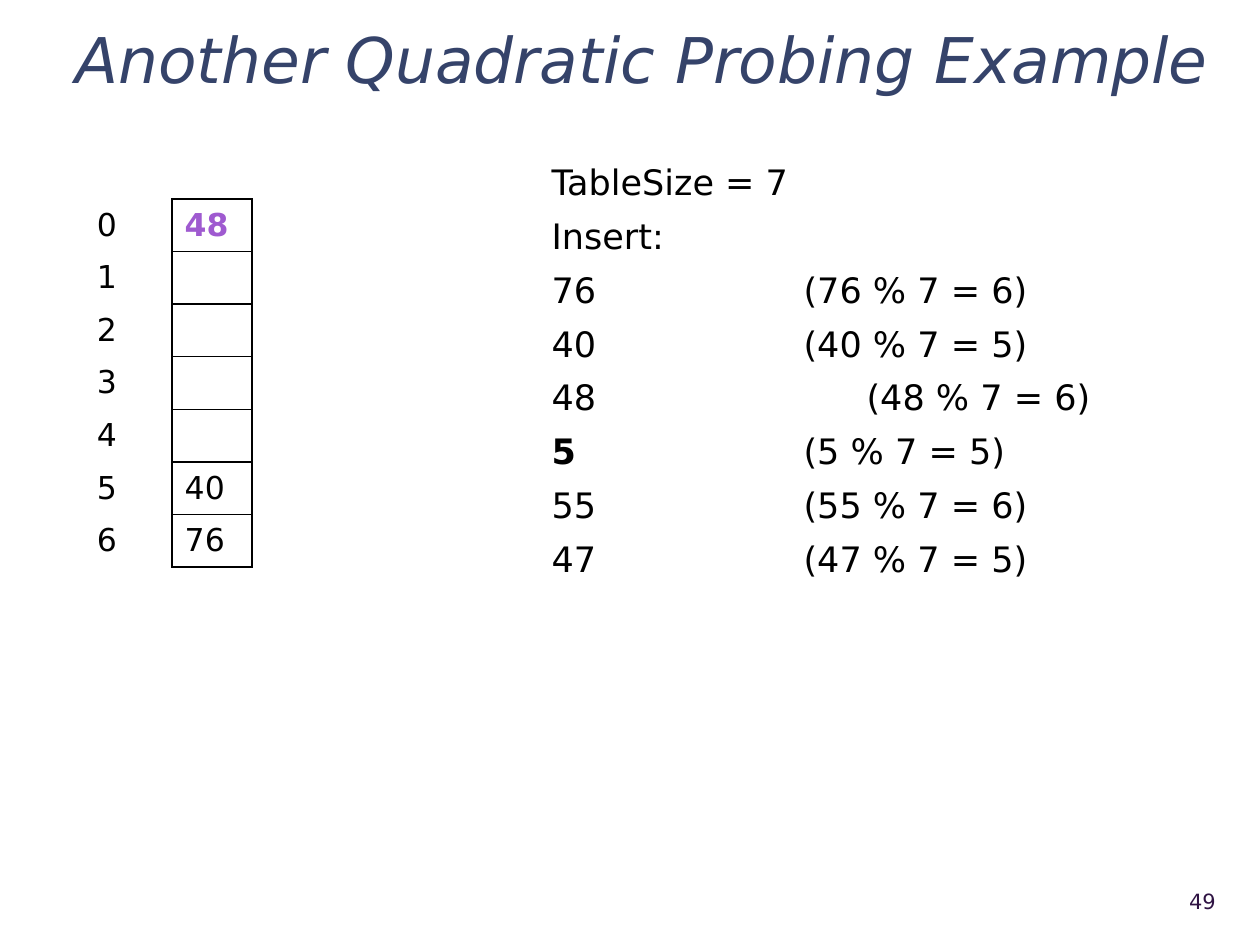
from lxml.etree import SubElement
from pptx import Presentation
from pptx.dml.color import RGBColor
from pptx.enum.text import MSO_ANCHOR, PP_ALIGN
from pptx.oxml.ns import qn
from pptx.util import Cm, Pt

FONT = "DejaVu Sans"
BLACK = "000000"
PURPLE = "9F5AD0"
TABLE_SIZE = 7
STORED = {0: "48", 5: "40", 6: "76"}
JUST_INSERTED = "48"
KEYS = [76, 40, 48, 5, 55, 47]
CURRENT_KEY = 5
HASH_TAB = 5.08
WIDE_TABS = {48: 6.35}


def color(hex_string):
    return RGBColor.from_string(hex_string)


def format_runs(paragraph, size, hex_string=BLACK, bold=False, italic=False):
    for run in paragraph.runs:
        font = run.font
        font.name = FONT
        font.size = Pt(size)
        font.color.rgb = color(hex_string)
        font.bold = bold
        font.italic = italic


def add_text_box(slide, left, top, width, height, anchor=MSO_ANCHOR.TOP):
    shape = slide.shapes.add_textbox(Cm(left), Cm(top), Cm(width), Cm(height))
    text_frame = shape.text_frame
    text_frame.word_wrap = True
    text_frame.vertical_anchor = anchor
    return text_frame


def add_title(slide, text):
    text_frame = add_text_box(slide, 1.27, 0.43, 23.5, 1.35, MSO_ANCHOR.MIDDLE)
    text_frame.text = text
    paragraph = text_frame.paragraphs[0]
    paragraph.line_spacing = 1.1
    format_runs(paragraph, 36, "35436A", italic=True)


def add_slide_number(slide, text):
    text_frame = add_text_box(slide, 22.58, 17.65, 2.18, 1.02, MSO_ANCHOR.MIDDLE)
    text_frame.text = text
    paragraph = text_frame.paragraphs[0]
    paragraph.alignment = PP_ALIGN.RIGHT
    format_runs(paragraph, 12, "2F1343")


def set_borders(cell, sides):
    """Draw black lines on the given sides, listed in the order L, R, T, B."""
    properties = cell._tc.get_or_add_tcPr()
    for position, side in enumerate(sides):
        line = properties.makeelement(qn(f"a:ln{side}"), {"w": str(Pt(1))})
        fill = SubElement(line, qn("a:solidFill"))
        SubElement(fill, qn("a:srgbClr"), val=BLACK)
        properties.insert(position, line)


def fill_cell(cell, text, sides, hex_string=BLACK, bold=False):
    cell.fill.background()
    cell.vertical_anchor = MSO_ANCHOR.MIDDLE
    cell.text = text
    format_runs(cell.text_frame.paragraphs[0], 18, hex_string, bold)
    set_borders(cell, sides)


def add_hash_table(slide):
    row_height = Cm(1.06)
    widths = [Cm(1.77), Cm(1.61)]
    frame = slide.shapes.add_table(TABLE_SIZE, 2, Cm(1.7), Cm(4.01),
                                   sum(widths), row_height * TABLE_SIZE)
    table = frame.table
    table.first_row = False
    table.horz_banding = False
    for column, width in zip(table.columns, widths):
        column.width = width
    for index, row in enumerate(table.rows):
        row.height = row_height
        index_cell, value_cell = row.cells
        value = STORED.get(index, "")
        is_new = value == JUST_INSERTED
        fill_cell(index_cell, str(index), "R")
        fill_cell(value_cell, value, "LRTB", PURPLE if is_new else BLACK, is_new)


def add_tab_stop(paragraph, position):
    tabs = SubElement(paragraph._p.get_or_add_pPr(), qn("a:tabLst"))
    SubElement(tabs, qn("a:tab"), pos=str(Cm(position)), algn="l")


def add_insert_list(slide):
    text_frame = add_text_box(slide, 10.87, 3.12, 12.24, 11.79)
    hashes = [f"{key}\t({key} % {TABLE_SIZE} = {key % TABLE_SIZE})" for key in KEYS]
    headings = [f"TableSize = {TABLE_SIZE}", "Insert:"]
    text_frame.text = "\n".join(headings + hashes)
    paragraphs = text_frame.paragraphs
    for paragraph in paragraphs[1:]:
        paragraph.space_before = Pt(6.7)
    for key, paragraph in zip(KEYS, paragraphs[len(headings):]):
        add_tab_stop(paragraph, WIDE_TABS.get(key, HASH_TAB))
        if key == CURRENT_KEY:
            key_run = paragraph.runs[0]
            hash_run = paragraph.add_run()
            hash_run.text = key_run.text.removeprefix(str(key))
            key_run.text = str(key)
    for paragraph in paragraphs:
        format_runs(paragraph, 20)
    paragraphs[len(headings) + KEYS.index(CURRENT_KEY)].runs[0].font.bold = True


def main():
    presentation = Presentation()
    presentation.slide_width = Cm(25.4)
    presentation.slide_height = Cm(19.05)
    slide = presentation.slides.add_slide(presentation.slide_layouts[6])
    add_title(slide, "Another Quadratic Probing Example")
    add_slide_number(slide, "49")
    add_hash_table(slide)
    add_insert_list(slide)
    presentation.save("out.pptx")


if __name__ == "__main__":
    main()
